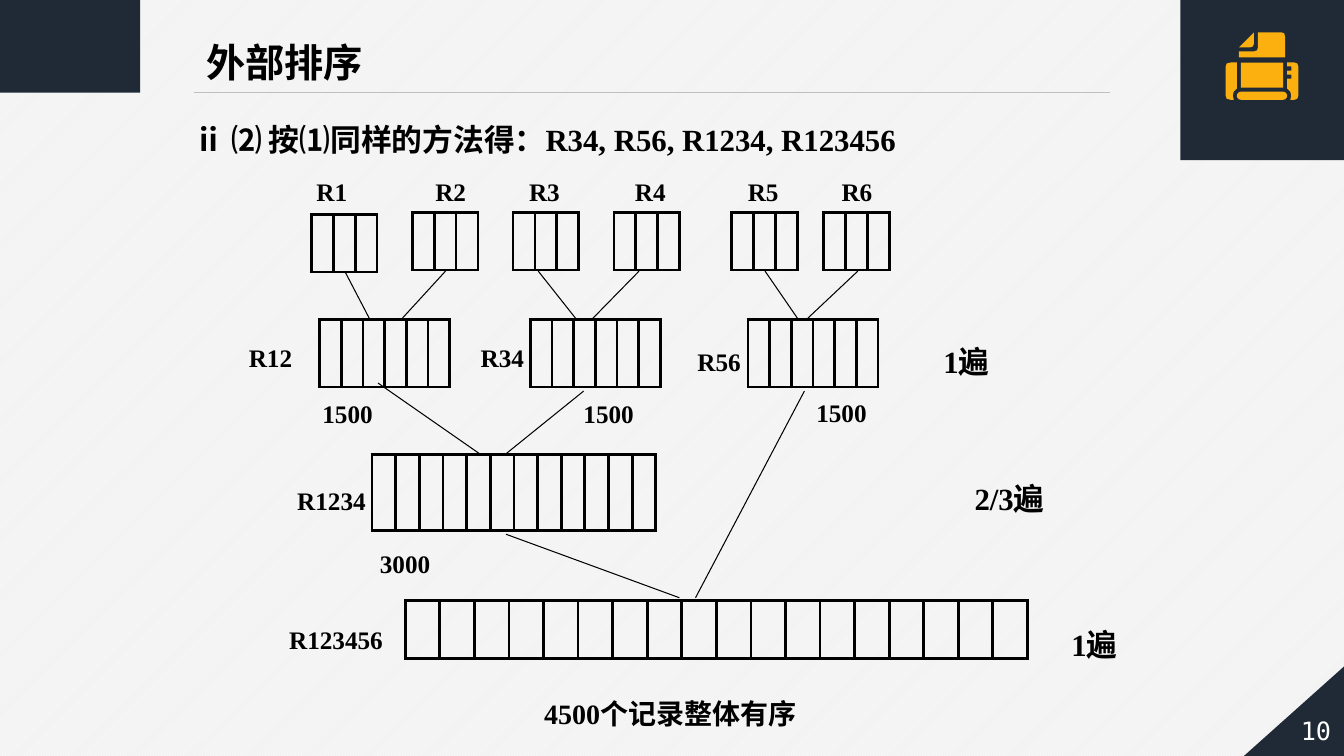
from dataclasses import dataclass

from lxml import etree
from pptx import Presentation
from pptx.dml.color import RGBColor
from pptx.enum.dml import MSO_PATTERN
from pptx.enum.shapes import MSO_CONNECTOR, MSO_SHAPE
from pptx.enum.text import MSO_ANCHOR, MSO_AUTO_SIZE, PP_ALIGN
from pptx.oxml.ns import qn
from pptx.util import Inches, Pt

DIAGONAL = MSO_PATTERN.LIGHT_UPWARD_DIAGONAL
STRAIGHT = MSO_CONNECTOR.STRAIGHT
RECTANGLE = MSO_SHAPE.RECTANGLE
ROUNDED = MSO_SHAPE.ROUNDED_RECTANGLE
TRIANGLE = MSO_SHAPE.RIGHT_TRIANGLE
CENTER, LEFT = PP_ALIGN.CENTER, PP_ALIGN.LEFT
MIDDLE, TOP = MSO_ANCHOR.MIDDLE, MSO_ANCHOR.TOP
GROW = MSO_AUTO_SIZE.SHAPE_TO_FIT_TEXT

# The slide is a grid of square cells, 0.1 inch a side.
CELL = Inches(0.1)
COLUMNS, ROWS = 133.33, 75
ICON_STEP = Inches(0.01)
ICON_COLUMN, ICON_ROW = 121.6, 3.2

NAVY, AMBER, BLACK, WHITE = "202A36", "FCB00F", "000000", "FFFFFF"
RULE_GREY, PAPER = "BFBFBF", "F2F2F2"
SERIF, MONO = "Times New Roman", "DejaVu Sans Mono"


@dataclass(frozen=True)
class Label:
    text: str
    column: float
    row: float
    width: float
    height: float = 4.6
    size: int = 18
    wrap: bool = True
    tabs: tuple[float, ...] = ()
    font: str = SERIF
    color: str = BLACK
    bold: bool = True
    align: PP_ALIGN = LEFT
    anchor: MSO_ANCHOR = TOP
    spacing: float = 1.3
    inset: float = 1


@dataclass(frozen=True)
class Level:
    """Sorted runs of one merge level, all of the same size."""
    blocks: int
    block_width: float
    height: float
    places: tuple[tuple[float, float], ...]


@dataclass(frozen=True)
class Block:
    preset: MSO_SHAPE
    column: float
    row: float
    width: float
    height: float
    color: str
    mirrored: bool = False


LEVELS = [
    Level(3, 2.17, 5.7, ((30.9, 21.3), (40.9, 21.1), (50.9, 21.1),
                         (60.9, 21.1), (72.6, 21.1), (81.7, 21.1))),
    Level(6, 2.15, 6.7, ((31.7, 31.7), (52.6, 31.7), (74.2, 31.7))),
    Level(12, 2.35, 7.5, ((36.9, 45.1),)),
    Level(18, 3.43, 5.7, ((40.2, 59.6),)),
]

MERGE_LINES = [
    (34.2, 26.9, 36.7, 31.7), (44.2, 26.9, 39.8, 31.7),
    (53.4, 26.9, 57.2, 31.7), (63.4, 26.9, 58.7, 31.7),
    (75.9, 26.9, 79.2, 31.7), (85.1, 26.9, 80, 31.7),
    (37.5, 38, 47.7, 45.1), (57.9, 38.8, 50.1, 45.1),
    (50.2, 53, 67.4, 59.3), (79.8, 38.8, 69, 59.3),
]

LABELS = [
    Label("外部排序", 19.5, 1.9, 17.7, 6.5, size=28, wrap=False),
    Label("ⅱ ⑵ 按⑴同样的方法得：R34, R56, R1234, R123456", 18.2, 10.4, 81.1, 5.8, size=22),
    Label("R1\tR2\tR3\tR4\tR5\tR6", 30.4, 16.1, 68.5, 4.9,
          tabs=(11.8, 21.1, 31.6, 42.8, 52.1)),
    Label("R12", 23.7, 32.6, 7.5),
    Label("R34", 46.7, 32.6, 6.7),
    Label("R56", 68.2, 33, 7.5),
    Label("R1234", 28.5, 46.8, 10),
    Label("R123456", 27.7, 60.5, 13.3),
    Label("1500", 31, 38.1, 7.5),
    Label("1500", 56.9, 38.1, 10),
    Label("1500", 80, 38, 10),
    Label("3000", 36.7, 53, 10),
    Label("4500个记录整体有序", 53, 67.6, 30.8, 5, size=20),
    Label("1遍", 92.6, 32.4, 12.5, 5.4, size=22),
    Label("2/3遍", 95.7, 46, 15, 5.4, size=22),
    Label("1遍", 105.3, 60.5, 10.8, 5.4, size=22),
    Label("10", 127.8, 69.7, 5.5, 5.5, font=MONO, color=WHITE, bold=False,
          align=CENTER, anchor=MIDDLE, spacing=1, inset=0),
]

CORNERS = [
    Block(RECTANGLE, 0, 0, 13.9, 9.2, NAVY),
    Block(TRIANGLE, 123.3, 65.8, 10.4, 9.3, NAVY, mirrored=True),
    Block(RECTANGLE, 117.1, -0.3, 16.3, 16.2, NAVY),
]
PRINTER_BLOCKS = [
    Block(ROUNDED, 122.7, 9.1, 5, 0.8, AMBER),
    Block(RECTANGLE, 123.1, 6.2, 4.2, 2.5, AMBER),
]
PRINTER_OUTLINES = {
    "left side": [(5, 30), (11, 30), (11, 56), (8, 59), (7, 63), (8, 67),
                  (5, 67), (1, 66), (0, 63), (0, 34), (1, 31)],
    "right side": [(61, 56), (61, 46), (65, 46), (65, 42), (61, 42), (61, 38), (65, 38),
                   (65, 34), (61, 34), (61, 30), (68, 30), (71, 31), (72, 34), (72, 63),
                   (71, 66), (68, 67), (64, 67), (65, 63), (64, 59)],
    "page corner": [(24, 15), (13, 15), (28, 0), (28, 11), (27, 14)],
    "page": [(13, 19), (28, 19), (31, 18), (32, 15), (32, 0), (55, 0),
             (58, 1), (59, 5), (59, 25), (13, 25)],
}


def grid(*cells: float) -> list[int]:
    return [round(CELL * cell) for cell in cells]


def rgb(color: str) -> RGBColor:
    return RGBColor.from_string(color)


def paint(shape, color: str) -> None:
    shape.shadow.inherit = False
    shape.fill.solid()
    shape.fill.fore_color.rgb = rgb(color)
    shape.line.fill.background()


def draw_block(shapes, block: Block) -> None:
    shape = shapes.add_shape(block.preset, *grid(block.column, block.row, block.width, block.height))
    paint(shape, block.color)
    if block.preset == ROUNDED:
        shape.adjustments[0] = 0.5
    if block.mirrored:
        shape._element.spPr.find(qn("a:xfrm")).set("flipH", "1")


def draw_outline(shapes, points: list[tuple[int, int]]) -> None:
    builder = shapes.build_freeform(*points[0], scale=ICON_STEP)
    builder.add_line_segments(points[1:], close=True)
    paint(builder.convert_to_shape(*grid(ICON_COLUMN, ICON_ROW)), AMBER)


def draw_line(shapes, ends: tuple[float, ...], color: str, width: float) -> None:
    line = shapes.add_connector(STRAIGHT, *grid(*ends))
    line.line.color.rgb = rgb(color)
    line.line.width = Pt(width)
    etree.SubElement(line._element.spPr, qn("a:effectLst"))


def draw_run(shapes, level: Level, column: float, row: float) -> None:
    """Draw a sorted run as a one-row table, one cell per block."""
    width = level.blocks * level.block_width
    table = shapes.add_table(1, level.blocks, *grid(column, row, width, level.height)).table
    table.first_row = table.horz_banding = False
    for table_column in table.columns:
        table_column.width = grid(level.block_width)[0]
    for cell in table.iter_cells():
        cell.margin_left = cell.margin_right = 0
        properties = cell._tc.get_or_add_tcPr()
        for side in ("a:lnL", "a:lnR", "a:lnT", "a:lnB"):
            border = etree.SubElement(properties, qn(side), w=str(Pt(2.25)))
            fill = etree.SubElement(border, qn("a:solidFill"))
            etree.SubElement(fill, qn("a:srgbClr"), val=BLACK)
        cell.fill.background()


def draw_label(shapes, label: Label) -> None:
    frame = shapes.add_textbox(*grid(label.column, label.row, label.width, label.height)).text_frame
    side = grid(label.inset)[0]
    frame_format = {"word_wrap": label.wrap, "vertical_anchor": label.anchor, "auto_size": GROW,
                    "margin_left": side, "margin_right": side}
    for name, value in frame_format.items():
        setattr(frame, name, value)
    paragraph = frame.paragraphs[0]
    if label.tabs:
        stops = etree.SubElement(paragraph._p.get_or_add_pPr(), qn("a:tabLst"))
        for position in grid(*label.tabs):
            etree.SubElement(stops, qn("a:tab"), pos=str(position), algn="l")
    paragraph.alignment = label.align
    paragraph.line_spacing = label.spacing
    run = paragraph.add_run()
    run.text = label.text
    for name, value in {"name": label.font, "size": Pt(label.size), "bold": label.bold}.items():
        setattr(run.font, name, value)
    run.font.color.rgb = rgb(label.color)


def main() -> None:
    deck = Presentation()
    deck.slide_width, deck.slide_height = grid(COLUMNS, ROWS)
    slide = deck.slides.add_slide(deck.slide_layouts[6])
    backdrop = slide.background.fill
    backdrop.patterned()
    backdrop.pattern = DIAGONAL
    backdrop.fore_color.rgb = rgb(WHITE)
    backdrop.back_color.rgb = rgb(PAPER)

    shapes = slide.shapes
    for block in CORNERS + PRINTER_BLOCKS:
        draw_block(shapes, block)
    for points in PRINTER_OUTLINES.values():
        draw_outline(shapes, points)
    draw_line(shapes, (19.2, 9.2, 110.1, 9.2), RULE_GREY, 0.5)
    for level in LEVELS:
        for column, row in level.places:
            draw_run(shapes, level, column, row)
    for ends in MERGE_LINES:
        draw_line(shapes, ends, BLACK, 0.75)
    for label in LABELS:
        draw_label(shapes, label)
    deck.save("out.pptx")


if __name__ == "__main__":
    main()
